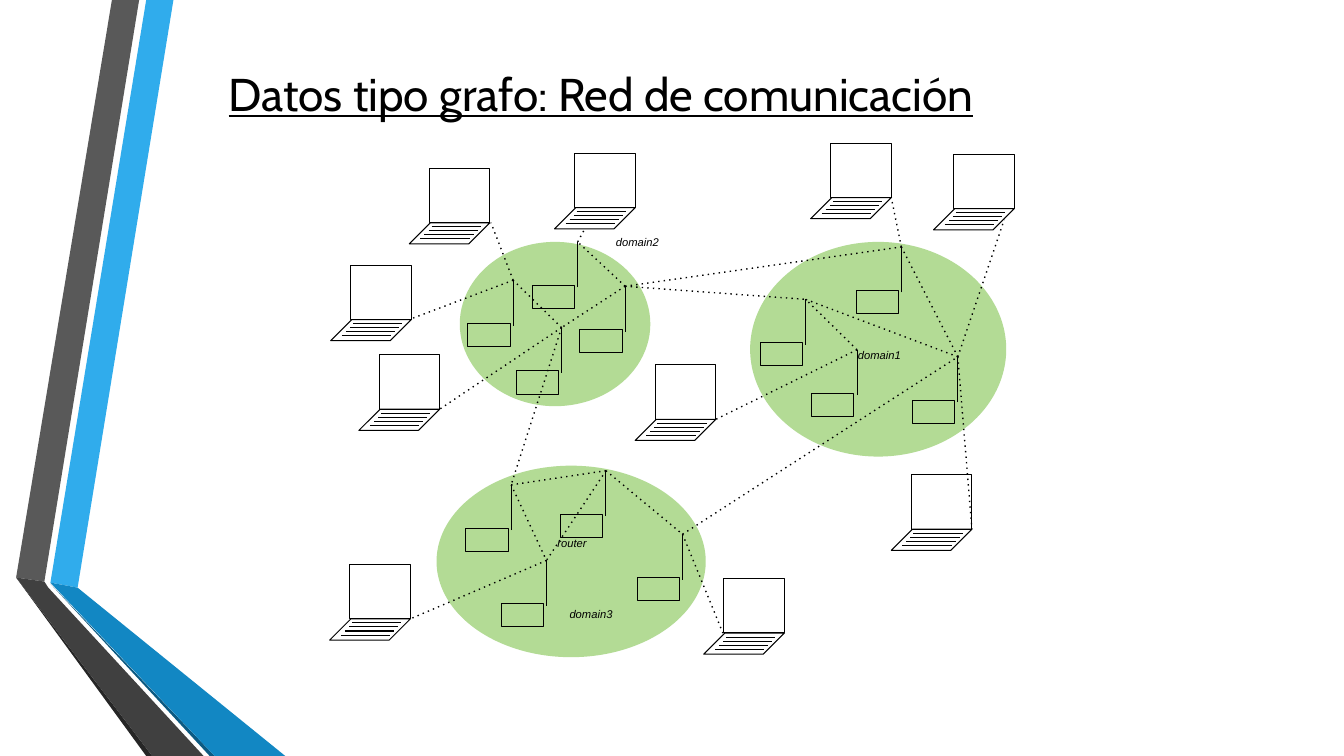
from lxml.etree import SubElement
from pptx import Presentation
from pptx.dml.color import RGBColor
from pptx.enum.shapes import MSO_CONNECTOR, MSO_SHAPE
from pptx.enum.text import MSO_ANCHOR, MSO_AUTO_SIZE
from pptx.oxml.ns import qn
from pptx.util import Pt

PX = 9144  # 100 px to the inch

BLACK = RGBColor(0x00, 0x00, 0x00)
DOMAIN_GREEN = RGBColor(0xB3, 0xDB, 0x95)
BLUE = RGBColor(0x30, 0xAC, 0xEC)
MID_BLUE = RGBColor(0x12, 0x87, 0xC3)
DARK_BLUE = RGBColor(0x0C, 0x5A, 0x82)
GREY = RGBColor(0x59, 0x59, 0x59)
DARK_GREY = RGBColor(0x40, 0x40, 0x40)
DEEP_GREY = RGBColor(0x26, 0x26, 0x26)

presentation = Presentation()
presentation.slide_width = 1333 * PX
presentation.slide_height = 750 * PX
slide = presentation.slides.add_slide(presentation.slide_layouts[6])
shapes = slide.shapes


def add_outline(kind, left, top, width, height):
    shape = shapes.add_shape(kind, left * PX, top * PX, width * PX, height * PX)
    shape.shadow.inherit = False
    shape.fill.background()
    shape.line.color.rgb = BLACK
    shape.line.width = Pt(0.75)
    return shape


def add_line(start, end, width=0.75, dash=None):
    connector = shapes.add_connector(
        MSO_CONNECTOR.STRAIGHT, *(value * PX for value in (*start, *end)))
    connector.line.color.rgb = BLACK
    connector.line.width = Pt(width)
    properties = connector._element.spPr
    if dash:
        SubElement(properties.find(qn("a:ln")), qn("a:prstDash"), val=dash)
    SubElement(properties, qn("a:effectLst"))


# Folded ribbons on the left edge
ribbons = [
    (BLUE, [(50, 578), (77, 583), (172, 0), (145, 0)]),
    (GREY, [(138, 0), (111, 0), (16, 573), (44, 577)]),
    (DEEP_GREY, [(16, 573), (145, 750), (151, 750)]),
    (DARK_BLUE, [(50, 579), (208, 750), (213, 750)]),
    (MID_BLUE, [(50, 578), (213, 750), (283, 750), (77, 583)]),
    (DARK_GREY, [(202, 750), (48, 583), (44, 577), (16, 573), (151, 750)]),
]
for color, points in ribbons:
    builder = shapes.build_freeform(*points[0], scale=PX)
    builder.add_line_segments(points[1:], close=True)
    ribbon = builder.convert_to_shape()
    ribbon.shadow.inherit = False
    ribbon.fill.solid()
    ribbon.fill.fore_color.rgb = color
    ribbon.line.fill.background()

# Title
title = shapes.add_textbox(217 * PX, 30 * PX, 1058 * PX, 125 * PX)
title.text_frame.word_wrap = True
title.text_frame.vertical_anchor = MSO_ANCHOR.MIDDLE
run = title.text_frame.paragraphs[0].add_run()
run.text = "Datos tipo grafo: Red de comunicación"
run.font.name = "Cabin"
run.font.size = Pt(32.8)
run.font.underline = True
run.font.color.rgb = BLACK

# Domains
for box in [(744, 240, 254, 213), (456, 240, 189, 163), (433, 462, 267, 190)]:
    domain = add_outline(MSO_SHAPE.OVAL, *box)
    domain.fill.solid()
    domain.fill.fore_color.rgb = DOMAIN_GREEN
    domain.line.fill.background()

# Laptops: screen, slanted base and four keyboard rows
laptops = [(406, 167), (328, 263), (356, 352), (550, 152), (804, 142),
           (327, 560), (698, 574), (630, 362), (884, 471), (926, 153)]
keyboard_rows = [(22, 58), (19, 62), (15, 66), (11, 70)]
for left, top in laptops:
    base = add_outline(MSO_SHAPE.PARALLELOGRAM, left, top + 54, 80, 21)
    base.adjustments[0] = 1
    add_outline(MSO_SHAPE.RECTANGLE, left + 20, top, 60, 54)
    for row_left, row_top in keyboard_rows:
        start = (left + row_left, top + row_top)
        add_line(start, (start[0] + 49, start[1]))

# Routers, placed by the tip of the antenna
routers = {
    "1 west": (799, 297), "1 north": (894, 245),
    "1 east": (950, 354), "1 south": (850, 347),
    "2 west": (509, 278), "2 north": (573, 240),
    "2 east": (620, 284), "2 south": (557, 325),
    "3 west": (507, 481), "3 north": (601, 467),
    "3 east": (677, 530), "3 south": (542, 556),
}
for x, y in routers.values():
    add_outline(MSO_SHAPE.RECTANGLE, x - 45, y + 43, 42, 23)
    add_line((x, y + 45), (x, y))

# Dotted links between routers
router_links = [
    ("2 south", "2 west"), ("2 east", "2 south"), ("2 east", "2 north"),
    ("2 south", "3 west"), ("3 north", "3 south"), ("3 north", "3 east"),
    ("3 north", "3 west"), ("3 west", "3 south"), ("1 south", "1 west"),
    ("2 east", "1 west"), ("2 east", "1 north"), ("1 east", "1 north"),
    ("1 east", "1 west"), ("3 east", "1 east"),
]
for first, second in router_links:
    add_line(routers[first], routers[second], 1, "dot")

# Dotted links from routers to laptops
laptop_links = [
    ("2 west", (406, 317)), ("2 west", (487, 221)), ("2 north", (580, 227)),
    ("2 south", (436, 406)), ("3 south", (407, 614)), ("3 east", (717, 628)),
    ("1 south", (710, 416)), ("1 north", (884, 196)), ("1 east", (996, 218)),
    ("1 east", (964, 525)),
]
for router, laptop_point in laptop_links:
    add_line(routers[router], laptop_point, 1, "dot")

# Labels
labels = [("domain2", 601, 229, 115), ("domain1", 841, 341, 115),
          ("domain3", 555, 598, 115), ("router", 543, 527, 89)]
for text, left, top, width in labels:
    label = shapes.add_textbox(left * PX, top * PX, width * PX, 23 * PX)
    label.text_frame.word_wrap = True
    label.text_frame.auto_size = MSO_AUTO_SIZE.SHAPE_TO_FIT_TEXT
    run = label.text_frame.paragraphs[0].add_run()
    run.text = text
    run.font.name = "Arial"
    run.font.size = Pt(8)
    run.font.italic = True
    run.font.color.rgb = BLACK

presentation.save("out.pptx")
